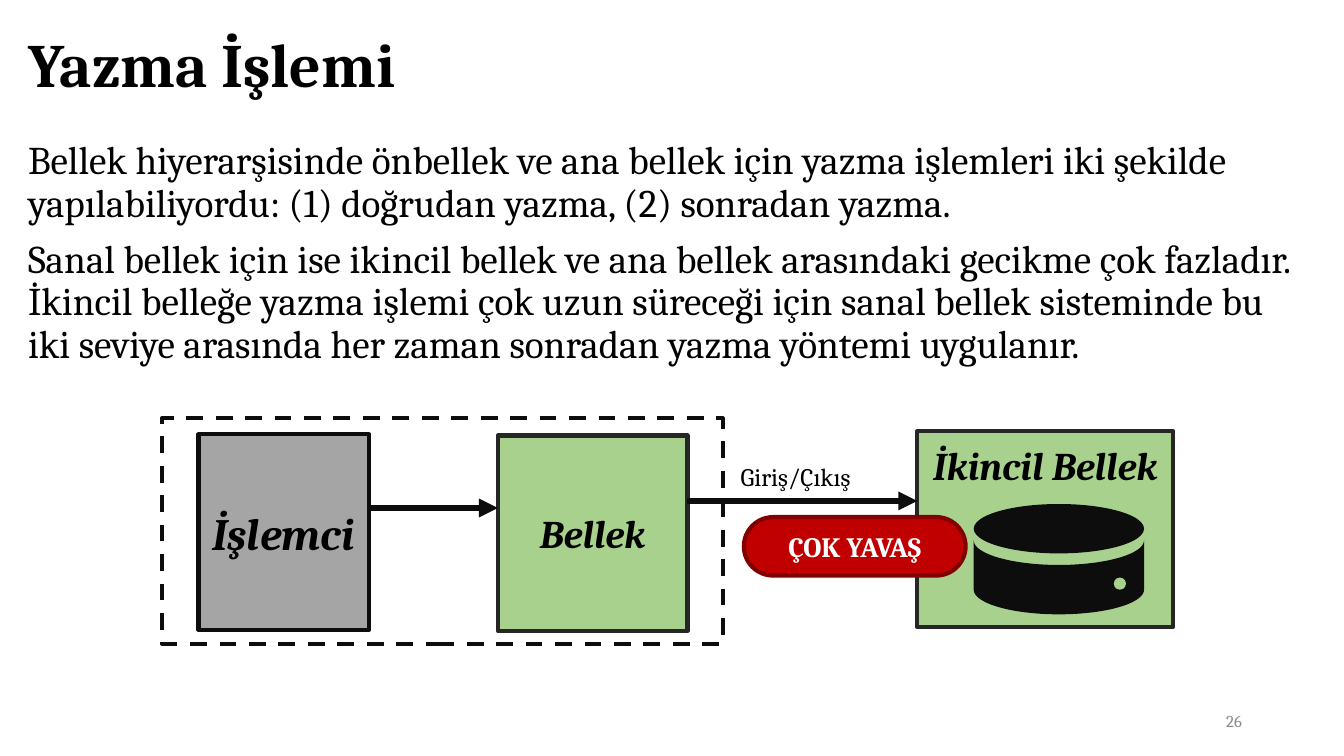
"""Build the slide on write operations between main and secondary memory."""
import math

from lxml import etree
from pptx import Presentation
from pptx.dml.color import RGBColor
from pptx.enum import dml, shapes, text
from pptx.oxml import ns
from pptx.util import Pt

FONT = "Cambria"
BLACK = RGBColor(0, 0, 0)
INK = RGBColor(0x0D, 0x0D, 0x0D)
CHARCOAL = RGBColor(0x26, 0x26, 0x26)
GRAY = RGBColor(0xA5, 0xA5, 0xA5)
PALE_GRAY = RGBColor(0x8C, 0x8C, 0x8C)
GREEN = RGBColor(0xA9, 0xD1, 0x8E)
RED = RGBColor(0xC0, 0, 0)
DARK_RED = RGBColor(0x82, 0, 0)
WHITE = RGBColor(0xFF, 0xFF, 0xFF)

LEFT, CENTER, RIGHT = text.PP_ALIGN.LEFT, text.PP_ALIGN.CENTER, text.PP_ALIGN.RIGHT
TOP, MIDDLE = text.MSO_ANCHOR.TOP, text.MSO_ANCHOR.MIDDLE
RECT = shapes.MSO_SHAPE.RECTANGLE
OVAL = shapes.MSO_SHAPE.OVAL
PILL = shapes.MSO_SHAPE.ROUNDED_RECTANGLE

TITLE = "Yazma İşlemi"
EXPLANATION = [
    "Bellek hiyerarşisinde önbellek ve ana bellek için yazma işlemleri iki şekilde "
    "yapılabiliyordu: (1) doğrudan yazma, (2) sonradan yazma.",
    "Sanal bellek için ise ikincil bellek ve ana bellek arasındaki gecikme çok fazladır. "
    "İkincil belleğe yazma işlemi çok uzun süreceği için sanal bellek sisteminde bu "
    "iki seviye arasında her zaman sonradan yazma yöntemi uygulanır.",
]
UNITS = [
    ("İşlemci", (141.84, 310.32, 121.68, 139.68), GRAY, INK, 32, MIDDLE),
    ("Bellek", (355.68, 311.04, 135.36, 139.68), GREEN, CHARCOAL, 28, MIDDLE),
    ("İkincil Bellek", (655.2, 308.16, 182.88, 139.68), GREEN, CHARCOAL, 28, TOP),
]
ARROW_HEIGHTS = [362.88, 357.84]
DISK_LEFT, DISK_WIDTH, LID_TOP, LID_HEIGHT = 695.52, 121.68, 360, 35.28
DRUM_TOP, DRUM_BASE = 385.92, 421.2
LAMP = (795.6, 412.56, 8.64, 8.64)

deck = Presentation()
deck.slide_width, deck.slide_height = Pt(960), Pt(540)
slide = deck.slides.add_slide(deck.slide_layouts[6])


def write(frame, paragraphs, size, color=BLACK, align=LEFT, anchor=TOP,
          bold=False, italic=False, spacing=None, before=0):
    frame.word_wrap = True
    frame.vertical_anchor = anchor
    for index, words in enumerate(paragraphs):
        paragraph = frame.add_paragraph() if index else frame.paragraphs[0]
        paragraph.alignment = align
        paragraph.space_before = Pt(before)
        if spacing:
            paragraph.line_spacing = spacing
        run = paragraph.add_run()
        run.text = words
        run.font.name, run.font.size = FONT, Pt(size)
        run.font.bold, run.font.italic = bold, italic
        run.font.color.rgb = color


def add_label(box, paragraphs, size, **style):
    label = slide.shapes.add_textbox(*map(Pt, box))
    write(label.text_frame, paragraphs, size, **style)


def paint(shape, fill=None, line=None):
    shape.shadow.inherit = False
    if fill is None:
        shape.fill.background()
    else:
        shape.fill.solid()
        shape.fill.fore_color.rgb = fill
    if line is None:
        shape.line.fill.background()
    else:
        shape.line.color.rgb = line
        shape.line.width = Pt(3)
    return shape


def add_figure(kind, box, fill=None, line=None):
    return paint(slide.shapes.add_shape(kind, *map(Pt, box)), fill, line)


def add_arrow(start, end, height):
    arrow = slide.shapes.add_connector(
        shapes.MSO_CONNECTOR.STRAIGHT, Pt(start), Pt(height), Pt(end), Pt(height))
    arrow.line.color.rgb = INK
    arrow.line.width = Pt(4.5)
    etree.SubElement(arrow.line._get_or_add_ln(), ns.qn("a:tailEnd"), type="triangle")
    etree.SubElement(arrow._element.spPr, ns.qn("a:effectLst"))


def lower_arc(base, steps=48):
    radius = DISK_WIDTH / 2
    angles = [math.pi * step / steps for step in range(steps + 1)]
    return [(Pt(DISK_LEFT + radius - radius * math.cos(a)),
             Pt(base + LID_HEIGHT / 2 * math.sin(a))) for a in angles]


add_label((12.96, 10.8, 925.92, 74.88), [TITLE], 44, bold=True, anchor=MIDDLE, spacing=0.9)
add_label((12.96, 97.2, 925.92, 388.8), EXPLANATION, 28, spacing=0.9, before=10)
add_label((678.24, 500.4, 216, 28.8), ["26"], 12, color=PALE_GRAY, align=RIGHT, anchor=MIDDLE)

for name, box, fill, line, size, anchor in UNITS:
    frame = add_figure(RECT, box, fill, line).text_frame
    frame.margin_left = frame.margin_right = Pt(3.6)
    frame.margin_top = frame.margin_bottom = Pt(7.2)
    write(frame, [name], size, align=CENTER, anchor=anchor, bold=True, italic=True)

for (_, source, *_), (_, target, *_), height in zip(UNITS, UNITS[1:], ARROW_HEIGHTS):
    add_arrow(source[0] + source[2], target[0], height)

add_figure(OVAL, (DISK_LEFT, LID_TOP, DISK_WIDTH, LID_HEIGHT), INK)
drum_outline = lower_arc(DRUM_TOP) + lower_arc(DRUM_BASE)[::-1]
drum = slide.shapes.build_freeform(*drum_outline[0], scale=1.0)
drum.add_line_segments(drum_outline[1:], close=True)
paint(drum.convert_to_shape(), INK)
add_figure(OVAL, LAMP, GREEN)

warning = add_figure(PILL, (531.36, 369.36, 158.4, 41.76), RED, DARK_RED)
warning.adjustments[0] = 0.5
write(warning.text_frame, ["ÇOK YAVAŞ"], 20, color=WHITE, align=CENTER, anchor=MIDDLE, bold=True)
add_label((522, 326.16, 121.68, 28.8), ["Giriş/Çıkış"], 18)

enclosure = add_figure(RECT, (115.92, 298.8, 400.32, 161.28), line=INK)
enclosure.line.dash_style = dml.MSO_LINE.DASH

deck.save("out.pptx")
